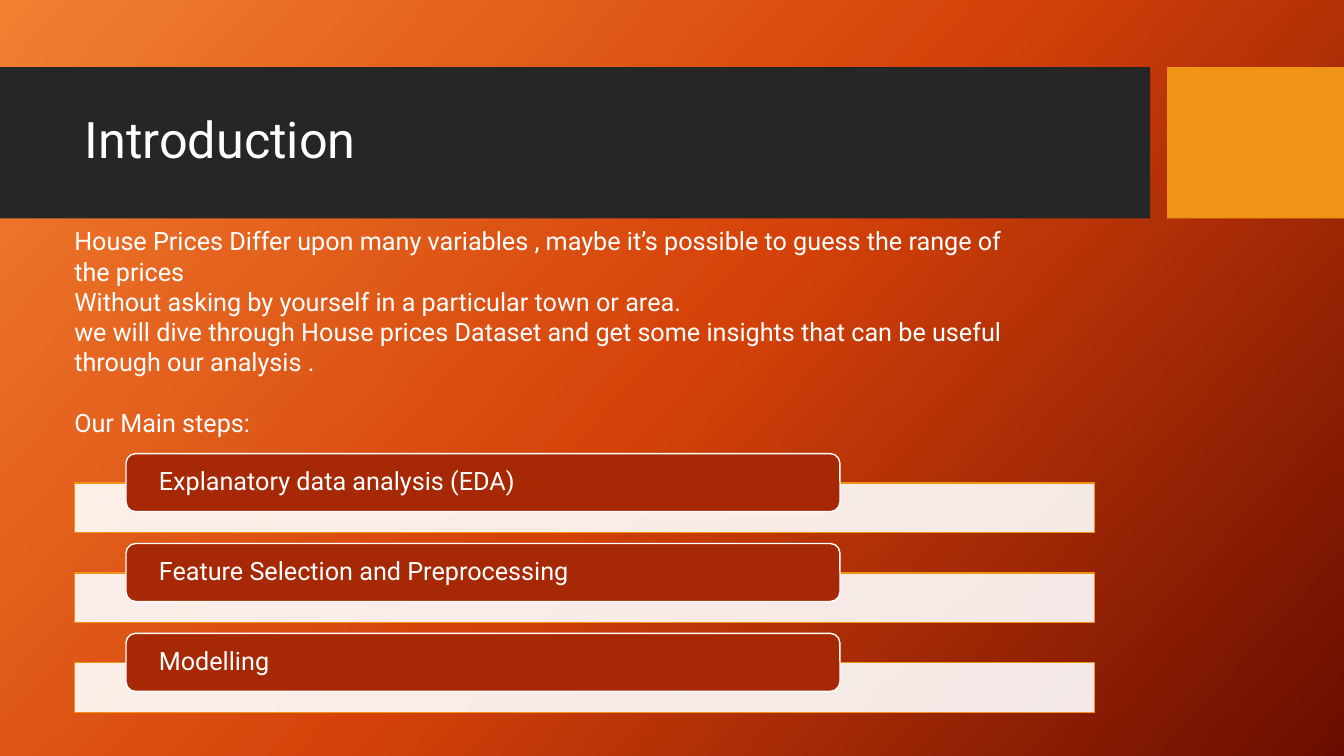
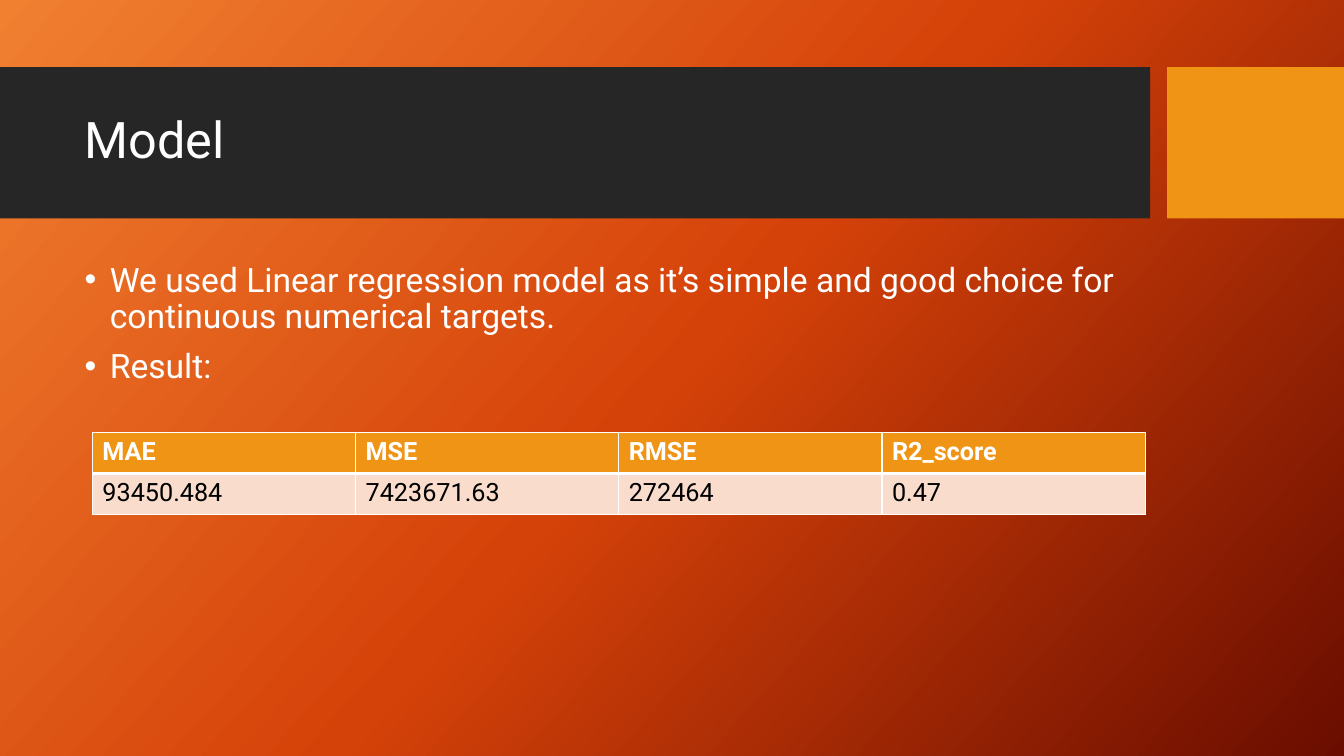
from copy import deepcopy

from pptx import Presentation
from pptx.dml.color import RGBColor
from pptx.enum.shapes import MSO_SHAPE
from pptx.enum.text import MSO_ANCHOR, PP_ALIGN
from pptx.oxml import parse_xml
from pptx.oxml.ns import nsdecls, qn
from pptx.util import Pt

RECTANGLE = MSO_SHAPE.RECTANGLE
ROUNDED = MSO_SHAPE.ROUNDED_RECTANGLE
MIDDLE = MSO_ANCHOR.MIDDLE
LEFT = PP_ALIGN.LEFT

FONT = "Roboto"
WHITE = RGBColor(0xFF, 0xFF, 0xFF)
BLACK = RGBColor(0x00, 0x00, 0x00)
CHARCOAL = RGBColor(0x26, 0x26, 0x26)
AMBER = RGBColor(0xF0, 0x94, 0x15)
RUST = RGBColor(0xA6, 0x28, 0x05)
BLUSH = RGBColor(0xF9, 0xDC, 0xCC)
BACKDROP = [
    (0, RGBColor(0xF1, 0x80, 0x31)),
    (0.5, RGBColor(0xD5, 0x42, 0x09)),
    (1, RGBColor(0x6A, 0x0D, 0x00)),
]

TITLE_ONLY, TITLE_AND_CONTENT = 5, 1
MARGIN = 53.3
CONTENT_WIDTH = 756.7


def style_text(paragraph, size, color=WHITE, bold=False, line_spacing=None):
    paragraph.alignment = LEFT
    paragraph.line_spacing = line_spacing
    font = paragraph.font
    font.name, font.size, font.bold = FONT, Pt(size), bold
    font.color.rgb = color


def add_block(slide, kind, left, top, width, height, fill, line=None):
    block = slide.shapes.add_shape(kind, Pt(left), Pt(top), Pt(width), Pt(height))
    block.shadow.inherit = False
    block.fill.solid()
    block.fill.fore_color.rgb = fill
    if line is None:
        block.line.fill.background()
    else:
        block.line.color.rgb = line
        block.line.width = Pt(1)
    return block


prs = Presentation()
prs.slide_width, prs.slide_height = Pt(960), Pt(540)
intro = prs.slides.add_slide(prs.slide_layouts[TITLE_ONLY])
model = prs.slides.add_slide(prs.slide_layouts[TITLE_AND_CONTENT])

# Shared background and title band, kept on the master
master = prs.slide_master
backdrop = master.background.fill
backdrop.gradient()
backdrop.gradient_angle = 360 - 42
stop_list = master.element.find(".//" + qn("a:gsLst"))
stop_list.append(deepcopy(stop_list[-1]))
for stop, (position, color) in zip(backdrop.gradient_stops, BACKDROP):
    stop.position = position
    stop.color.rgb = color

title_band = add_block(intro, RECTANGLE, 0, 48, 821.5, 108, CHARCOAL)
accent_square = add_block(intro, RECTANGLE, 833.7, 48, 126.3, 108, AMBER)
master_tree = master.shapes.element
for position, part in enumerate((title_band, accent_square), start=2):
    master_tree.insert(position, part.element)

for slide, heading in ((intro, "Introduction"), (model, "Model")):
    title = slide.shapes.title
    title.left, title.top = Pt(MARGIN), Pt(59)
    title.width, title.height = Pt(CONTENT_WIDTH), Pt(85)
    title.text_frame.text = heading
    title.text_frame.vertical_anchor = MIDDLE
    style_text(title.text_frame.paragraphs[0], 36, line_spacing=0.9)

# Introduction: main steps
STEPS = [
    "Explanatory data analysis (EDA)",
    "Feature Selection and Preprocessing",
    "Modelling",
]
STEP_PITCH = 64.2
for index, step in enumerate(STEPS):
    top = 324 + index * STEP_PITCH
    bar = add_block(intro, RECTANGLE, MARGIN, top + 21, 728.6, 35.5, WHITE, AMBER)
    bar_color = bar.fill._xPr.find(".//" + qn("a:srgbClr"))
    bar_color.append(parse_xml(f'<a:alpha {nsdecls("a")} val="90000"/>'))

    label = add_block(intro, ROUNDED, 90, top, 510, 41.5, RUST, WHITE)
    frame = label.text_frame
    frame.text = step
    frame.vertical_anchor = MIDDLE
    frame.margin_left = frame.margin_right = Pt(21.5)
    frame.margin_top = frame.margin_bottom = 0
    style_text(frame.paragraphs[0], 18, line_spacing=0.9)

# Introduction: opening text
OPENING = [
    "House Prices Differ upon many variables , maybe it’s possible to guess the range of the prices",
    "Without asking by yourself in a particular town or area.",
    "we will dive through House prices Dataset and get some insights that can be useful "
    "through our analysis .",
    "Our Main steps:",
]
opening = intro.shapes.add_textbox(Pt(46), Pt(157.7), Pt(698.4), Pt(181.4)).text_frame
opening.word_wrap = True
opening.text = "\n".join(OPENING)
for paragraph in opening.paragraphs:
    style_text(paragraph, 18)
opening.paragraphs[-1].space_before = Pt(21.5)

# Model: findings
FINDINGS = [
    "We used Linear regression model as it’s simple and good choice for "
    "continuous numerical targets.",
    "Result:",
]
findings = model.placeholders[1]
findings.left, findings.top = Pt(MARGIN), Pt(184.3)
findings.width, findings.height = Pt(CONTENT_WIDTH), Pt(283.7)
findings.text_frame.text = "\n".join(FINDINGS)
for paragraph in findings.text_frame.paragraphs:
    style_text(paragraph, 24, line_spacing=0.9)
    paragraph.space_before = Pt(10)
    properties = paragraph._p.get_or_add_pPr()
    properties.set("marL", str(Pt(18)))
    properties.set("indent", str(Pt(-18)))
    properties.append(parse_xml(f'<a:buFont {nsdecls("a")} typeface="Arial"/>'))
    properties.append(parse_xml(f'<a:buChar {nsdecls("a")} char="•"/>'))
    # The schema wants the default run properties after the bullet
    properties.append(properties.find(qn("a:defRPr")))

# Model: scores
SCORES = [
    ("MAE", "MSE", "RMSE", "R2_score"),
    ("93450.484", "7423671.63", "272464", "0.47"),
]
scores = model.shapes.add_table(
    len(SCORES), len(SCORES[0]), Pt(66), Pt(309), Pt(752), Pt(58.4)
).table
for row, values in enumerate(SCORES):
    is_header = row == 0
    for column, value in enumerate(values):
        cell = scores.cell(row, column)
        cell.text = value
        style_text(cell.text_frame.paragraphs[0], 18, WHITE if is_header else BLACK, is_header)
        borders = {"lnL": 1, "lnR": 1, "lnT": 1 if is_header else 3, "lnB": 3 if is_header else 1}
        cell_properties = cell._tc.get_or_add_tcPr()
        for side, width in borders.items():
            cell_properties.append(parse_xml(
                f'<a:{side} {nsdecls("a")} w="{Pt(width)}"><a:solidFill>'
                f'<a:srgbClr val="{WHITE}"/></a:solidFill></a:{side}>'
            ))
        cell.fill.solid()
        cell.fill.fore_color.rgb = AMBER if is_header else BLUSH

prs.save("out.pptx")
